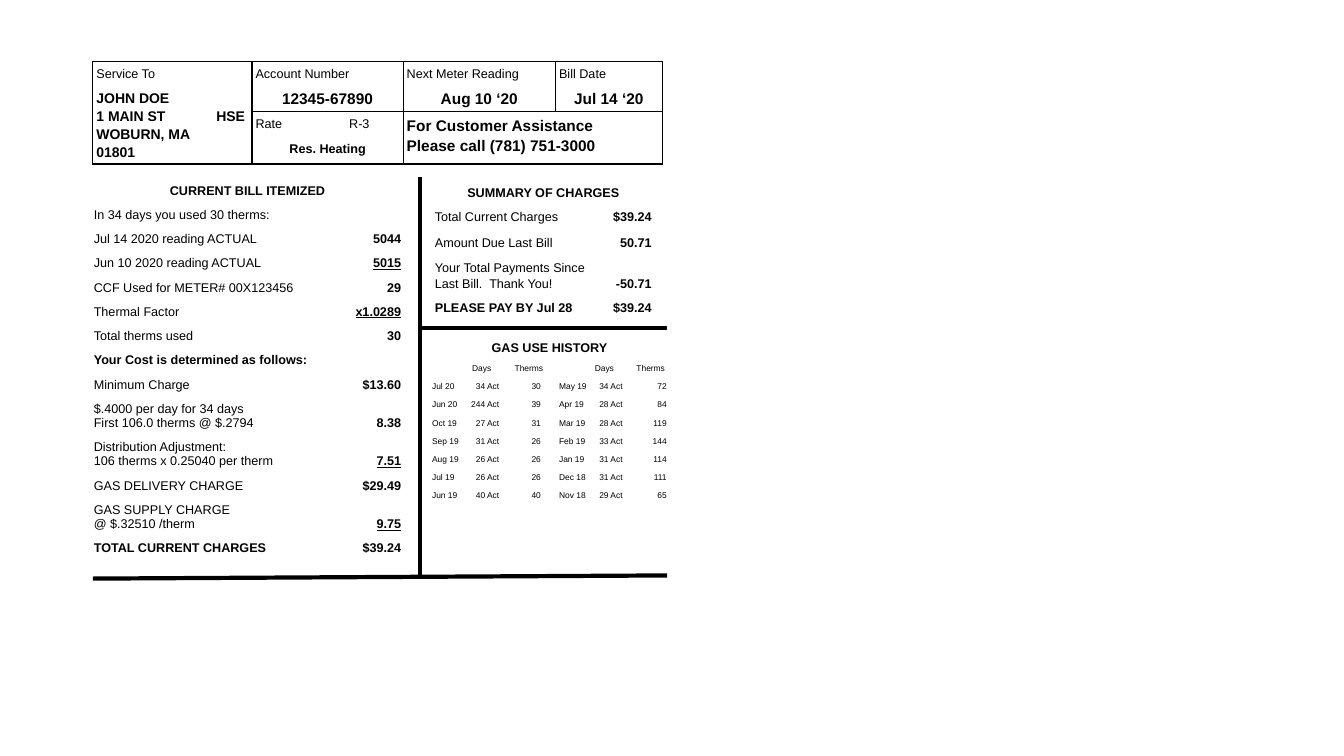
from lxml import etree
from pptx import Presentation
from pptx import util as u
from pptx.dml.color import RGBColor
from pptx.enum import shapes, text
from pptx.oxml import ns

BLACK = RGBColor(0, 0, 0)
WHITE = RGBColor(255, 255, 255)
LEFT, MID, RIGHT = text.PP_ALIGN.LEFT, text.PP_ALIGN.CENTER, text.PP_ALIGN.RIGHT
PLAIN = "{2D5ABB26-0587-4C30-8999-92F81FD0307C}"
INSET = 0.09

ITEMS = [
    ("Jul 14 2020 reading ACTUAL", "5044"),
    ("Jun 10 2020 reading ACTUAL", "5015"),
    ("CCF Used for METER# 00X123456", "29"),
    ("Thermal Factor", "x1.0289"),
    ("Total therms used", "30"),
    ("Your Cost is determined as follows:", ""),
    ("Minimum Charge", "$13.60"),
    ("$.4000 per day for 34 days\nFirst 106.0 therms @ $.2794", "8.38"),
    ("Distribution Adjustment:\n106 therms x 0.25040 per therm", "7.51"),
    ("GAS DELIVERY CHARGE", "$29.49"),
    ("GAS SUPPLY CHARGE\n@ $.32510 /therm", "9.75"),
    ("TOTAL CURRENT CHARGES", "$39.24"),
]
STRONG = ("Your Cost", "TOTAL CURRENT", "PLEASE PAY")
UNDER = ("5015", "x1.0289", "7.51", "9.75")
DUES = [
    ("Total Current Charges", "$39.24"),
    ("Amount Due Last Bill", "50.71"),
    ("Your Total Payments Since\nLast Bill.  Thank You!", "-50.71"),
    ("PLEASE PAY BY Jul 28", "$39.24"),
]
USAGE = [
    ("Jul 20\t34 Act", "30", "May 19\t34 Act", "72"),
    ("Jun 20\t244 Act", "39", "Apr 19\t28 Act", "84"),
    ("Oct 19\t27 Act", "31", "Mar 19\t28 Act", "119"),
    ("Sep 19\t31 Act", "26", "Feb 19\t33 Act", "144"),
    ("Aug 19\t26 Act", "26", "Jan 19\t31 Act", "114"),
    ("Jul 19\t26 Act", "26", "Dec 18\t31 Act", "111"),
    ("Jun 19\t40 Act", "40", "Nov 18\t29 Act", "65"),
]


def grid(slide, left, top, cols, rows):
    """Add an unstyled table with the given column widths and row heights."""
    frame = slide.shapes.add_table(len(rows), len(cols), u.Cm(left), u.Cm(top),
                                   u.Cm(sum(cols)), u.Cm(sum(rows)))
    table = frame.table
    table.first_row = table.horz_banding = False
    table._tbl.tblPr.find(ns.qn("a:tableStyleId")).text = PLAIN
    for col, width in zip(table.columns, cols):
        col.width = u.Cm(width)
    for row, height in zip(table.rows, rows):
        row.height = u.Cm(height)
    return table


def stops(para, tabs, kind):
    props = para._p.get_or_add_pPr()
    items = etree.SubElement(props, ns.qn("a:tabLst"))
    for pos in tabs:
        etree.SubElement(items, ns.qn("a:tab"), pos=str(u.Cm(pos)), algn=kind)


def put(cell, words, size=9, bold=False, align=LEFT, space=1.15,
        inset=INSET, tabs=(), kind="l", under=False, fill=None):
    """Write and format the text of one table cell."""
    if inset is not None:
        cell.margin_left = cell.margin_right = u.Cm(inset)
        cell.margin_top = cell.margin_bottom = u.Cm(inset)
    if fill is None:
        cell.fill.background()
    else:
        cell.fill.solid()
        cell.fill.fore_color.rgb = fill
    cell.text_frame.text = words
    for para in cell.text_frame.paragraphs:
        para.alignment = align
        para.line_spacing = space
        if tabs:
            stops(para, tabs, kind)
        font = para.font
        font.name, font.size, font.bold = "Arial", u.Pt(size), bold
        font.underline = under
        font.color.rgb = BLACK


def edge(cell, sides):
    """Draw the named sides of a cell and clear the others."""
    props = cell._tc.get_or_add_tcPr()
    for side in "LRTB":
        line = etree.SubElement(props, ns.qn("a:ln" + side), w=str(u.Pt(1)))
        if side in sides:
            fill = etree.SubElement(line, ns.qn("a:solidFill"))
            etree.SubElement(fill, ns.qn("a:srgbClr"), val=str(BLACK))
        else:
            etree.SubElement(line, ns.qn("a:noFill"))


def rule(slide, *ends):
    line = slide.shapes.add_connector(shapes.MSO_CONNECTOR.STRAIGHT,
                                      *[u.Cm(end) for end in ends])
    line.line.color.rgb = BLACK
    line.line.width = u.Pt(3)
    etree.SubElement(line._element.spPr, ns.qn("a:effectLst"))


def header(slide):
    table = grid(slide, 2.34, 1.55, (4.01, 3.81, 3.84, 2.69), (0.58, 0.66, 0.61, 0))
    table.cell(1, 0).merge(table.cell(3, 0))
    table.cell(2, 2).merge(table.cell(3, 3))
    for row, sides in enumerate(("LTR", "LRB", "LTR", "LRB")):
        for col in range(4):
            cell = table.cell(row, col)
            if not cell.is_spanned:
                edge(cell, sides + "B" if cell.is_merge_origin else sides)
    heads = ("Service To", "Account Number", "Next Meter Reading", "Bill Date")
    for col, head in enumerate(heads):
        put(table.cell(0, col), head)
    put(table.cell(1, 0), "JOHN DOE\n1 MAIN ST\tHSE\nWOBURN, MA\n01801", 10, True,
        tabs=(3.02,))
    for col, fact in enumerate(("12345-67890", "Aug 10 ‘20", "Jul 14 ‘20"), 1):
        put(table.cell(1, col), fact, 11, True, MID)
    put(table.cell(2, 1), "Rate\tR-3", tabs=(2.36,))
    put(table.cell(2, 2), "For Customer Assistance\nPlease call (781) 751-3000", 11, True)
    put(table.cell(3, 1), "Res. Heating", 9, True, MID)


def pairs(table, start, rows, **look):
    """Fill rows of a label and an amount."""
    for row, (label, cost) in enumerate(rows, start):
        put(table.cell(row, 0), label, bold=label.startswith(STRONG), **look)
        cell = table.cell(row, 1)
        put(cell, cost, bold=True, align=RIGHT, under=cost in UNDER, **look)
        if "\n" in label:
            cell.vertical_anchor = text.MSO_ANCHOR.BOTTOM


def summary(slide):
    table = grid(slide, 10.87, 4.55, (4.14, 1.5), (0, 0.66, 0.64, 0, 0))
    table.cell(0, 0).merge(table.cell(0, 1))
    put(table.cell(0, 0), "SUMMARY OF CHARGES", bold=True, align=MID)
    pairs(table, 1, DUES)


def bill(slide):
    table = grid(slide, 2.11, 4.45, (6.12, 2.13), [0] * 5 + [0.36] * 9)
    for row in range(2):
        table.cell(row, 0).merge(table.cell(row, 1))
    put(table.cell(0, 0), "CURRENT BILL ITEMIZED", bold=True, align=MID,
        inset=None, fill=WHITE)
    put(table.cell(1, 0), "In 34 days you used 30 therms:", space=1.0,
        inset=None, fill=WHITE)
    pairs(table, 2, ITEMS, space=1.0, inset=None, fill=WHITE)


def history(slide):
    table = grid(slide, 10.8, 8.46, (2.06, 0.25, 0.58, 0.25, 1.85, 0.25, 0.76),
                 [0.41, 0.33, 0.33, 0.48] + [0] * 5)
    for row in range(2):
        table.cell(row, 0).merge(table.cell(row, 6))
    put(table.cell(0, 0), "GAS USE HISTORY", bold=True, align=MID)
    head = table.cell(1, 0)
    put(head, "\tDays\tTherms\tDays\tTherms", 6, tabs=(1.01, 2.08, 4.1, 5.15))
    head.margin_right = 0
    for row, facts in enumerate(USAGE, 2):
        for col, fact in zip(range(0, 7, 2), facts):
            if "\t" in fact:
                put(table.cell(row, col), fact, 6, kind="r",
                    tabs=(1.69 if col == 0 else 1.6,))
            else:
                put(table.cell(row, col), fact, 6, align=RIGHT)
        for col in (1, 3, 5):
            put(table.cell(row, col), "", 6)


def main():
    deck = Presentation()
    deck.slide_width, deck.slide_height = u.Cm(33.87), u.Cm(19.05)
    slide = deck.slides.add_slide(deck.slide_layouts[6])
    # Account details
    header(slide)
    # Charges and their divider
    summary(slide)
    bill(slide)
    rule(slide, 10.59, 4.45, 10.59, 14.5)
    # Gas use and closing lines
    history(slide)
    rule(slide, 10.54, 8.26, 16.81, 8.26)
    rule(slide, 2.34, 14.58, 16.81, 14.5)
    deck.save("out.pptx")


if __name__ == "__main__":
    main()
